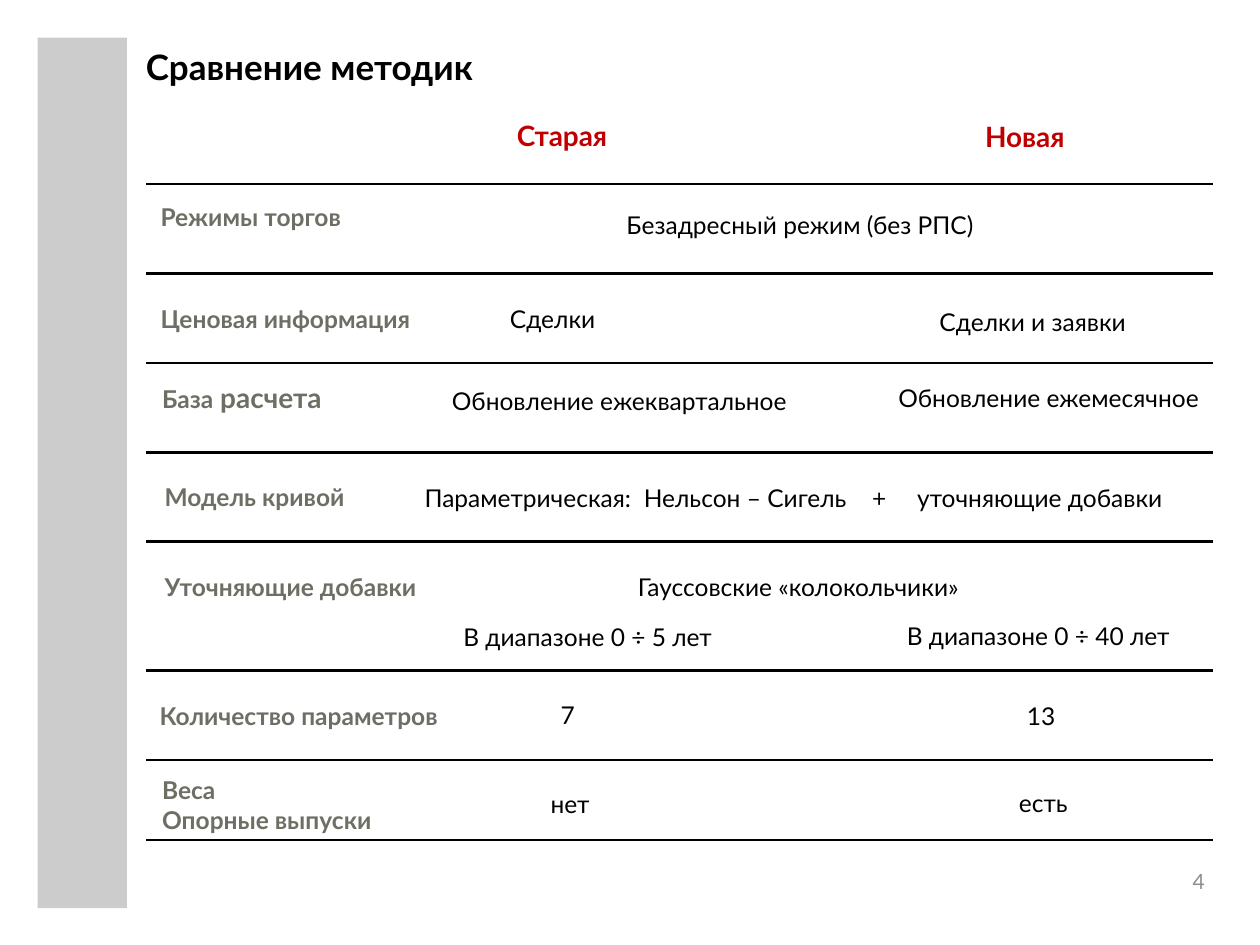
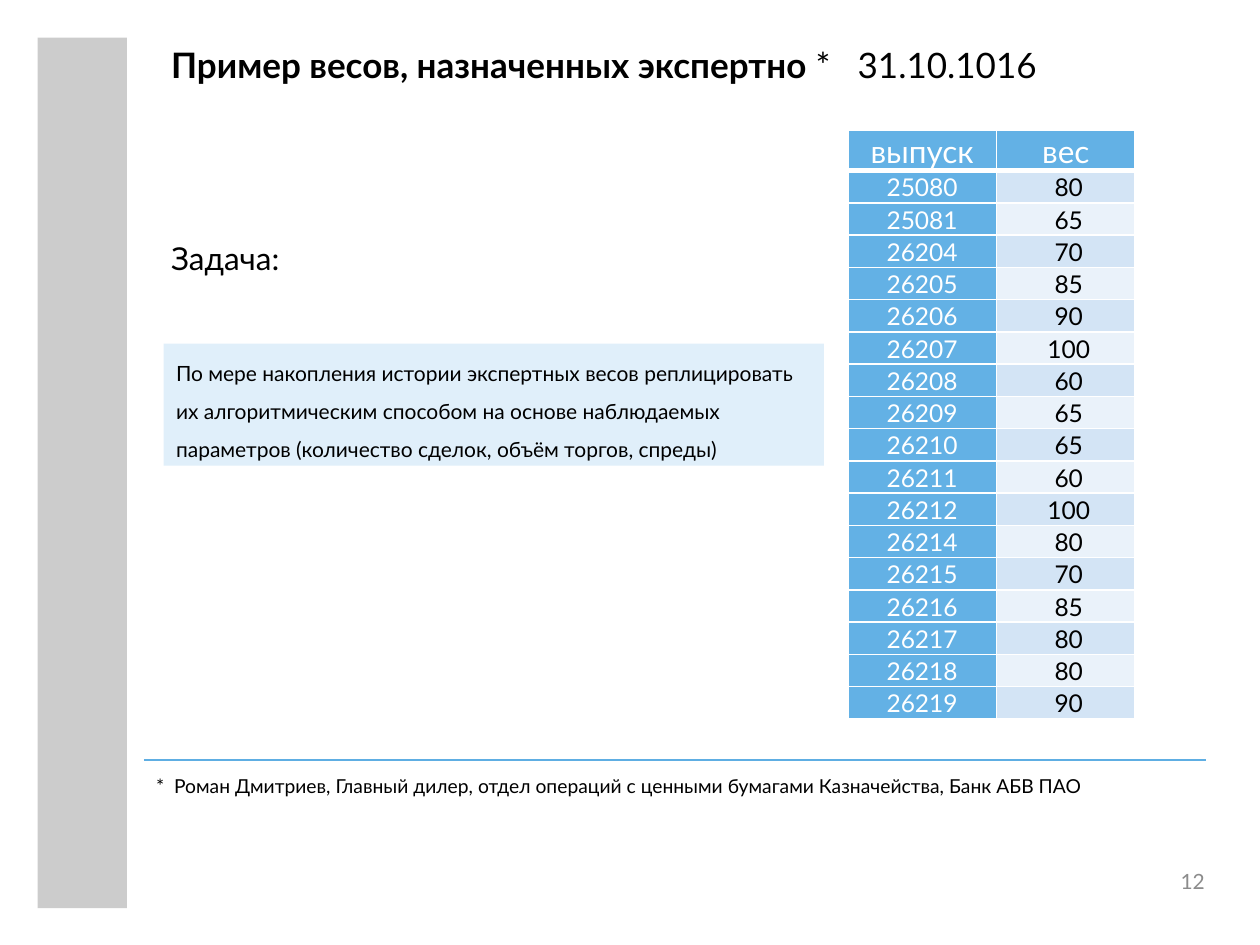
from lxml import etree
from pptx import Presentation
from pptx import util as u
from pptx.dml import color
from pptx.enum import shapes, text
from pptx.oxml import ns

FONT = "Lato"
BLACK, WHITE, RED, GREY = "000000", "FFFFFF", "C00000", "6D6F64"
BLUE, PALE, LIGHT = "63B1E5", "D3E4F5", "EAF2FA"
LEFT, MID, RIGHT = text.PP_ALIGN.LEFT, text.PP_ALIGN.CENTER, text.PP_ALIGN.RIGHT


def hue(code):
    return color.RGBColor.from_string(code)


def put(slide, words, box, size=14, tint=BLACK, bold=False, align=LEFT,
        gap=None, tabs=(), form=None, fill=None):
    """Add a text box, or a filled shape if a form is given."""
    place = [u.Cm(n) for n in box]
    if form is None:
        shape = slide.shapes.add_textbox(*place)
    else:
        shape = slide.shapes.add_shape(form, *place)
        shape.shadow.inherit = False
        shape.fill.solid()
        shape.fill.fore_color.rgb = hue(fill)
        shape.line.fill.background()
    frame = shape.text_frame
    frame.word_wrap = True
    frame.text = words
    for para in frame.paragraphs:
        para.alignment = align
        if gap:
            para.line_spacing = gap
        if tabs:
            stops = etree.SubElement(para._p.get_or_add_pPr(), ns.qn("a:tabLst"))
            for stop in tabs:
                etree.SubElement(stops, ns.qn("a:tab"), pos=str(u.Cm(stop)), algn="l")
        font = para.font
        font.name, font.size, font.bold = FONT, u.Pt(size), bold
        font.color.rgb = hue(tint)
    return shape


deck = Presentation()
deck.slide_width, deck.slide_height = u.Cm(25.4), u.Cm(19.05)

# Shared parts: side band, title, page number
pages = []
for title, spot, num in [
    ("Сравнение методик", (2.69, 0.79, 22.3, 2.1), "4"),
    ("Пример весов, назначенных экспертно ", (3.2, 0.76, 20.6, 1.93), "12"),
]:
    page = deck.slides.add_slide(deck.slide_layouts[6])
    put(page, "", (0.76, 0.76, 1.8, 17.55),
        form=shapes.MSO_SHAPE.RECTANGLE, fill="CCCCCC")
    head = put(page, title, spot, 20, bold=True)
    foot = put(page, num, (23.29, 17.2, 1, 1), 12, "8C8C8C", align=RIGHT)
    foot.text_frame.margin_right = foot.text_frame.margin_bottom = 0
    foot.text_frame.vertical_anchor = text.MSO_ANCHOR.MIDDLE
    pages.append((page, head))
(first, _), (second, head) = pages

# Comparison: column heads
put(first, "Старая", (8.13, 2.26, 6.4, 1.6), 16, RED, True, MID)
put(first, "Новая", (16.81, 2.29, 7.7, 1.6), 16, RED, True, MID)

# Comparison: row labels
labels = {}
for words, x, y, wide in [
    ("Режимы торгов", 2.92, 3.68, 5.3),
    ("Ценовая информация", 2.92, 5.72, 6.58),
    ("База", 2.95, 7.32, 5.3),
    ("Модель кривой", 3, 9.32, 5.3),
    ("Уточняющие добавки", 3, 11.13, 6.5),
    ("Количество параметров", 2.9, 13.72, 7.14),
    ("Веса\nОпорные выпуски", 2.95, 15.52, 6.55),
]:
    labels[words] = put(first, words, (x, y, wide, 1.4), 14, GREY, True,
                        form=shapes.MSO_SHAPE.ROUNDED_RECTANGLE, fill=WHITE)
more = labels["База"].text_frame.paragraphs[0].add_run()
more.text = " расчета"
more.font.size = u.Pt(16)

# Comparison: values shared by both columns
put(first, "Безадресный режим (без РПС)", (8.23, 4.22, 15.8, 1.2), align=MID, gap=0.8)
put(first, "Параметрическая:\tНельсон – Сигель\t+\tуточняющие добавки",
    (8.31, 9.73, 16.1, 1.2), gap=0.8, tabs=(4.42, 9.02, 9.93))
put(first, "Гауссовские «колокольчики»", (8.31, 11.53, 15.57, 1.2), align=MID, gap=0.8)

# Comparison: values of one column
for words, x, y in [
    ("Сделки", 10.03, 6.12), ("Сделки и заявки", 18.69, 6.17),
    ("Обновление ежеквартальное", 8.86, 7.77),
    ("Обновление ежемесячное", 17.86, 7.72),
    ("В диапазоне 0 ÷ 5 лет", 9.09, 12.52),
    ("В диапазоне 0 ÷ 40 лет", 18.03, 12.5),
    ("7", 11.05, 14.1), ("13", 20.45, 14.12),
    ("нет", 10.85, 15.9), ("есть", 20.29, 15.88),
]:
    put(first, words, (x, y, 7.4, 1.2), gap=0.8)

# Weights: date in the title, task, footnote
para = head.text_frame.paragraphs[0]
stops = etree.Element(ns.qn("a:tabLst"))
etree.SubElement(stops, ns.qn("a:tab"), pos=str(u.Cm(13.84)), algn="l")
para._p.pPr.insert(0, stops)
date = para.add_run()
date.text = "*\t31.10.1016"
date.font.bold = False
put(second, "Задача:", (3.2, 4.32, 13.31, 1.24), 18, gap=1.5)
put(second, "По мере накопления истории экспертных весов реплицировать их "
    "алгоритмическим способом на основе наблюдаемых параметров "
    "(количество сделок, объём торгов, спреды)", (3.3, 6.93, 13.31, 2.46), 12,
    gap=1.5, form=shapes.MSO_SHAPE.RECTANGLE, fill="E0EFFA")
put(second, "*\tРоман Дмитриев, Главный дилер, отдел операций с ценными "
    "бумагами Казначейства, Банк АБВ ПАО", (2.9, 15.49, 20.5, 1.19), 11, tabs=(0.36,))

# Weights: table
rows = [
    ("выпуск", "вес"), (25080, 80), (25081, 65), (26204, 70), (26205, 85),
    (26206, 90), (26207, 100), (26208, 60), (26209, 65), (26210, 65),
    (26211, 60), (26212, 100), (26214, 80), (26215, 70), (26216, 85),
    (26217, 80), (26218, 80), (26219, 90),
]
grid = second.shapes.add_table(len(rows), 2, u.Cm(17.09), u.Cm(2.62),
                               u.Cm(5.79), u.Cm(11.87)).table
grid.columns[0].width, grid.columns[1].width = u.Cm(3), u.Cm(2.79)
for r, row in enumerate(rows):
    grid.rows[r].height = u.Cm(0.65 if r else 0.82)
    for c, value in enumerate(row):
        cell = grid.cell(r, c)
        body = r > 0 and c > 0
        for side in "LRTB":
            wide = 3 if r == 0 and side == "B" else 1
            edge = etree.SubElement(cell._tc.get_or_add_tcPr(),
                                    ns.qn("a:ln" + side), w=str(u.Pt(wide)))
            paint = etree.SubElement(edge, ns.qn("a:solidFill"))
            etree.SubElement(paint, ns.qn("a:srgbClr"), val=WHITE)
        cell.fill.solid()
        cell.fill.fore_color.rgb = hue((PALE if r % 2 else LIGHT) if body else BLUE)
        cell.margin_left = u.Cm(0.15 if body else 0.03)
        cell.margin_right = cell.margin_top = u.Cm(0.03)
        cell.margin_bottom = 0
        cell.vertical_anchor = text.MSO_ANCHOR.MIDDLE
        cell.text = str(value)
        para = cell.text_frame.paragraphs[0]
        para.alignment = MID
        para.font.name, para.font.size = FONT, u.Pt(14 if r else 18)
        para.font.bold = False
        para.font.color.rgb = hue(BLACK if body else WHITE)

# Rules between the rows and above the footnote
rules = [(first, 2.95, 24.45, y, BLACK, 1.5)
         for y in (3.71, 5.51, 7.32, 9.12, 10.92, 13.52, 15.32, 16.93)]
rules.append((second, 2.9, 24.31, 15.32, "5EAEE3", 0.75))
for page, x, end, y, tint, wide in rules:
    rule = page.shapes.add_connector(shapes.MSO_CONNECTOR.STRAIGHT,
                                     u.Cm(x), u.Cm(y), u.Cm(end), u.Cm(y))
    rule.line.color.rgb = hue(tint)
    rule.line.width = u.Pt(wide)
    etree.SubElement(rule._element.spPr, ns.qn("a:effectLst"))

deck.save("out.pptx")
